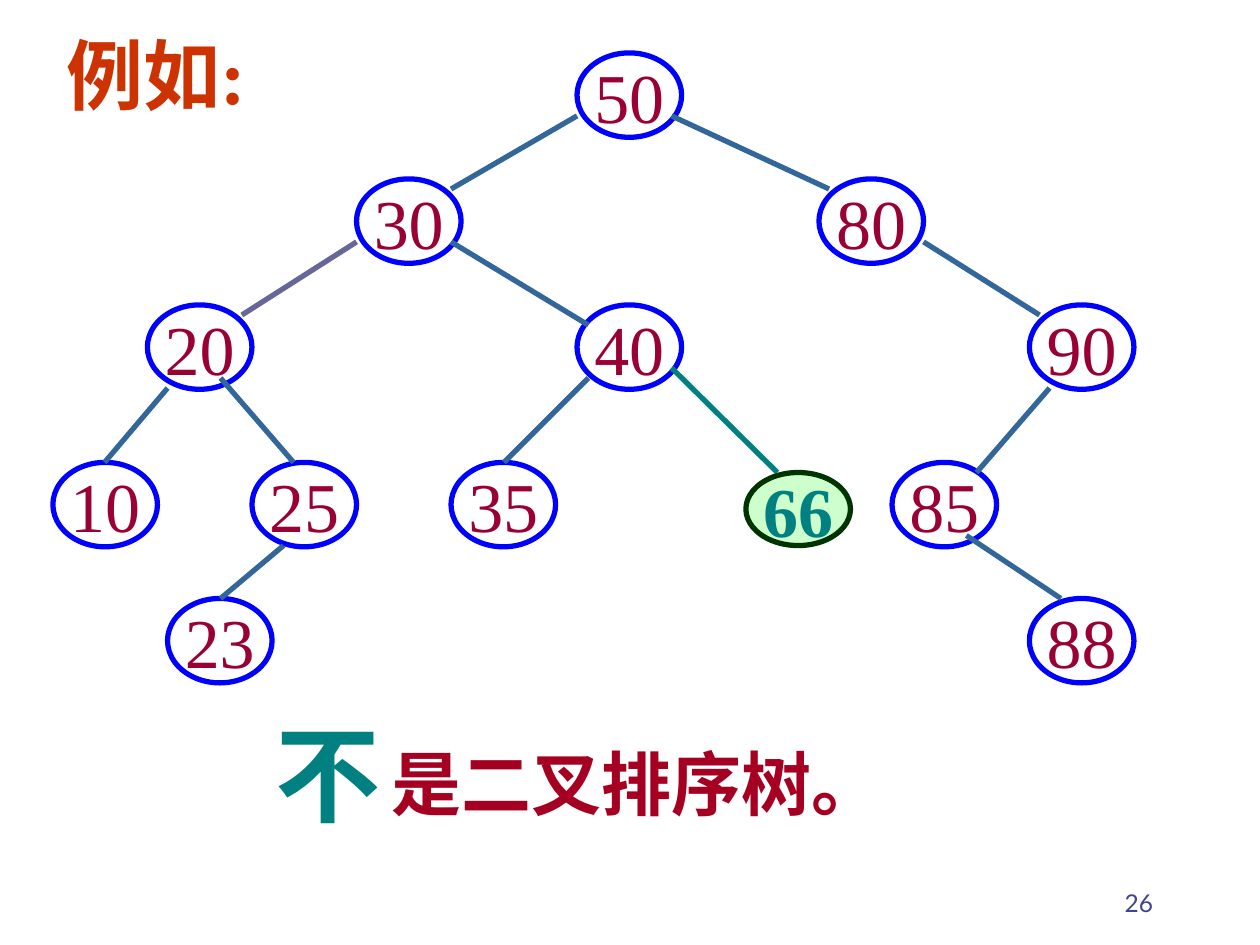
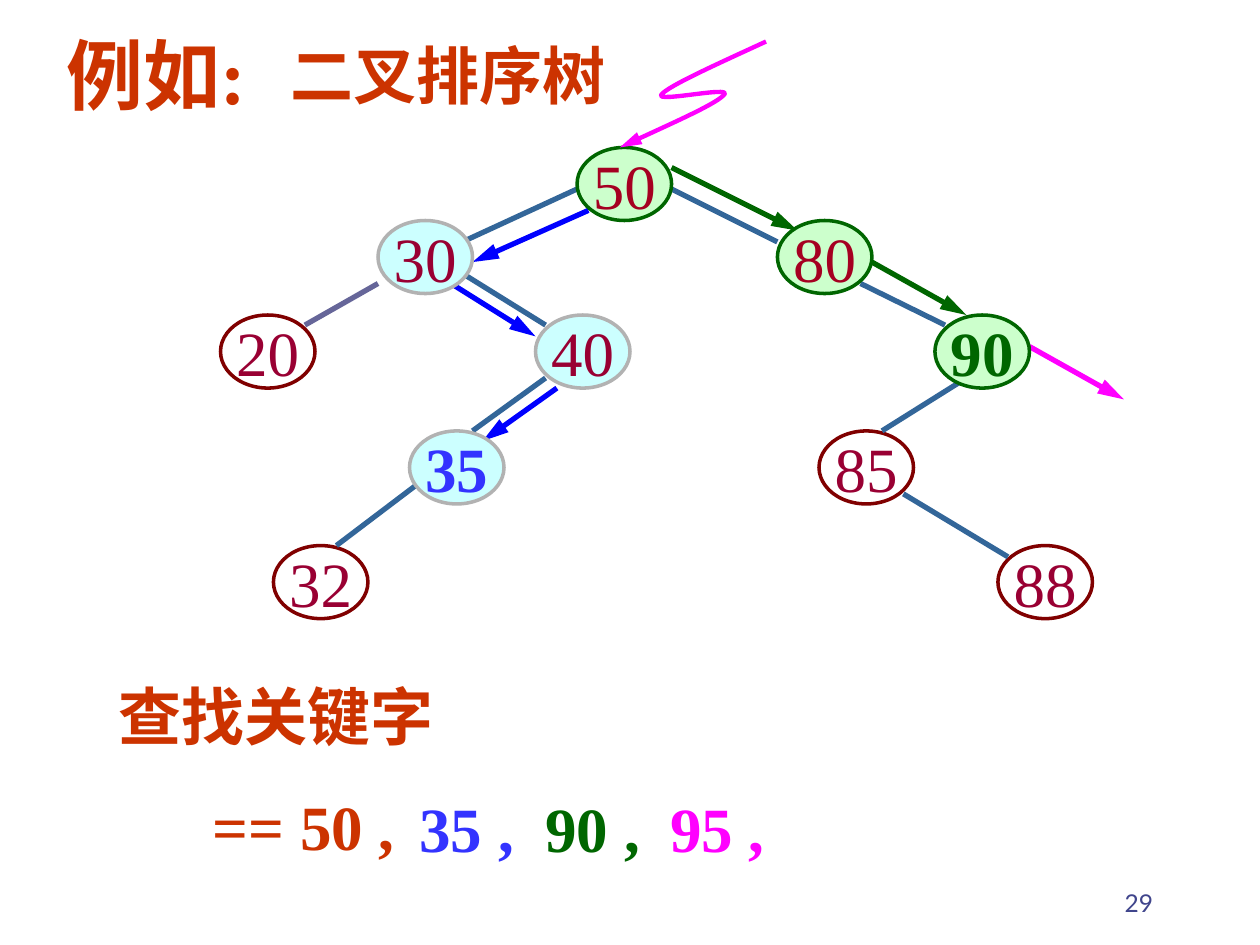
"""Build two slides on binary search trees: a counterexample and key lookups."""
from lxml import etree
from pptx import Presentation
from pptx.dml.color import RGBColor
from pptx.enum.shapes import MSO_CONNECTOR, MSO_SHAPE
from pptx.enum.text import MSO_ANCHOR, MSO_AUTO_SIZE, PP_ALIGN
from pptx.oxml.ns import qn
from pptx.util import Inches, Pt

STRAIGHT = MSO_CONNECTOR.STRAIGHT
OVAL = MSO_SHAPE.OVAL
MIDDLE, BOTTOM = MSO_ANCHOR.MIDDLE, MSO_ANCHOR.BOTTOM
FIT_SHAPE = MSO_AUTO_SIZE.SHAPE_TO_FIT_TEXT
CENTER, RIGHT = PP_ALIGN.CENTER, PP_ALIGN.RIGHT

COLOURS = {
    "title": "CC3300", "number": "40458C", "key": "990033", "crimson": "A50021",
    "edge": "336699", "muted_edge": "666699", "blue": "0000FF", "found_blue": "3333FF",
    "teal": "008080", "dark_green": "003300", "green": "006600", "magenta": "FF00FF",
    "maroon": "800000", "grey": "B2B2B2", "pale_green": "CCFFCC", "pale_cyan": "CCFFFF",
}
RGB = {name: RGBColor.from_string(value) for name, value in COLOURS.items()}

NODE_STYLES = {
    "plain": {"fill": None, "line": "blue", "width": 3, "text": "key"},
    "misplaced": {"fill": "pale_green", "line": "dark_green", "width": 3, "text": "teal"},
    "unvisited": {"fill": None, "line": "maroon", "width": 2, "text": "key"},
    "left_route": {"fill": "pale_cyan", "line": "grey", "width": 2, "text": "key"},
    "left_found": {"fill": "pale_cyan", "line": "grey", "width": 2, "text": "found_blue"},
    "right_route": {"fill": "pale_green", "line": "green", "width": 2, "text": "crimson"},
    "right_found": {"fill": "pale_green", "line": "green", "width": 2, "text": "green"},
}
BOLD_NODES = ("misplaced", "left_found", "right_found")
ARROW_COLOURS = ("blue", "green", "magenta")

counterexample = {
    "number": "26", "node_size": 40,
    "nodes": [
        ("plain", 0.83, 0.67, [
            ("50", 4.58, 0.42), ("30", 2.83, 1.42), ("80", 6.5, 1.42), ("20", 1.17, 2.42),
            ("90", 8.17, 2.42), ("10", 0.42, 3.67), ("85", 7.08, 3.67), ("40", 4.58, 2.42),
            ("35", 3.58, 3.67), ("25", 2, 3.67), ("23", 1.33, 4.75), ("88", 8.17, 4.75)]),
    ],
    "edges": {
        "edge": [
            (4.58, 0.92, 3.58, 1.5), (5.33, 0.92, 6.58, 1.5), (3.58, 1.92, 4.67, 2.58),
            (1.33, 3.08, 0.83, 3.67), (1.75, 3, 2.33, 3.67), (2.25, 4.33, 1.75, 4.75),
            (4.67, 3, 4, 3.67), (7.33, 1.92, 8.25, 2.5), (8.33, 3.08, 7.75, 3.75),
            (7.67, 4.25, 8.42, 4.75)],
        "muted_edge": [(2.83, 1.92, 1.92, 2.5)],
        "teal": [(5.33, 2.92, 6.17, 3.75)],
    },
    "highlighted": [("misplaced", 0.83, 0.58, [("66", 5.92, 3.75)])],
    "texts": [
        ("是二叉排序树。", 3.01, 5.83, 4.08, 0.77, 40, "crimson"),
        ("不", 2.09, 5.58, 1.03, 1.1, 60, "teal"),
    ],
    "curve": [],
}
lookups = {
    "number": "29", "node_size": 36,
    "nodes": [
        ("unvisited", 0.75, 0.58, [
            ("20", 1.75, 2.5), ("85", 6.5, 3.42), ("88", 7.92, 4.33), ("32", 2.17, 4.33)]),
    ],
    "edges": {
        "edge": [
            (4.58, 1.5, 3.67, 1.92), (5.33, 1.5, 6.17, 1.92), (3.67, 2.17, 4.33, 2.58),
            (4.33, 3, 3.75, 3.42), (6.83, 2.25, 7.5, 2.58), (7.67, 3, 7, 3.42),
            (7.17, 3.92, 8, 4.42), (3.33, 3.83, 2.67, 4.33)],
        "muted_edge": [(3, 2.25, 2.42, 2.58)],
        "blue": [(4.67, 1.67, 3.75, 2.08), (3.58, 2.25, 4.25, 2.67), (4.42, 3.08, 3.83, 3.5)],
        "green": [(5.33, 1.33, 6.33, 1.83), (6.92, 2.08, 7.67, 2.5)],
        "magenta": [(8.17, 2.75, 8.92, 3.17)],
    },
    "highlighted": [
        ("left_route", 0.75, 0.58, [("30", 3, 1.75), ("40", 4.25, 2.5)]),
        ("left_found", 0.75, 0.58, [("35", 3.25, 3.42)]),
        ("right_route", 0.75, 0.58, [("50", 4.58, 1.17), ("80", 6.17, 1.75)]),
        ("right_found", 0.75, 0.58, [("90", 7.42, 2.5)]),
    ],
    "texts": [
        ("二叉排序树", 2.21, 0.24, 2.7, 0.7, 36, "title"),
        ("查找关键字", 0.84, 5.33, 2.7, 0.7, 36, "title"),
        ("== 50 ,", 1.59, 6.2, 1.7, 0.7, 36, "title"),
        ("35 ,", 3.23, 6.22, 0.95, 0.7, 36, "found_blue"),
        ("90 ,", 4.23, 6.22, 0.95, 0.7, 36, "green"),
        ("95 ,", 5.22, 6.22, 0.95, 0.7, 36, "magenta"),
    ],
    "curve": [
        (6.08, 0.33), (5.69, 0.51), (5.31, 0.68), (5.25, 0.75), (5.19, 0.82),
        (5.81, 0.68), (5.75, 0.75), (5.69, 0.82), (5.31, 0.99), (4.92, 1.17)],
}
SHARED_TITLE = ("例如:", 0.43, 0.17, 1.77, 0.84, 44, "title")


def write_text(shape, text, colour, font_format, frame_format, alignment=None):
    frame = shape.text_frame
    for name, value in frame_format.items():
        setattr(frame, name, value)
    paragraph = frame.paragraphs[0]
    paragraph.alignment = alignment
    run = paragraph.add_run()
    run.text = text
    run.font.color.rgb = RGB[colour]
    for name, value in font_format.items():
        setattr(run.font, name, value)


def draw_line(shape, colour, width, arrow=False):
    shape.line.color.rgb = RGB[colour]
    shape.line.width = Pt(width)
    if arrow:
        line = shape.line._get_or_add_ln()
        etree.SubElement(line, qn("a:tailEnd"), type="triangle", w="med", len="lg")


presentation = Presentation()
presentation.slide_width, presentation.slide_height = Inches(10), Inches(7.5)

for content in (counterexample, lookups):
    slide = presentation.slides.add_slide(presentation.slide_layouts[6])

    number_box = slide.shapes.add_textbox(Inches(7.17), Inches(6.83), Inches(2.08), Inches(0.5))
    write_text(number_box, content["number"], "number", {"size": Pt(14), "name": "Lato"},
               {"word_wrap": True, "vertical_anchor": BOTTOM}, RIGHT)

    for text, left, top, width, height, size, colour in [SHARED_TITLE, *content["texts"]]:
        text_box = slide.shapes.add_textbox(*map(Inches, (left, top, width, height)))
        write_text(text_box, text, colour,
                   {"size": Pt(size), "name": "Times New Roman", "bold": True},
                   {"word_wrap": False, "auto_size": FIT_SHAPE})

    for layer in ("nodes", "edges", "highlighted"):
        if layer == "edges":
            for colour, edges in content["edges"].items():
                for edge in edges:
                    connector = slide.shapes.add_connector(STRAIGHT, *map(Inches, edge))
                    draw_line(connector, colour, 3, colour in ARROW_COLOURS)
                    etree.SubElement(connector._element.spPr, qn("a:effectLst"))
            continue
        for style_name, width, height, keys in content[layer]:
            style = NODE_STYLES[style_name]
            for key, left, top in keys:
                node = slide.shapes.add_shape(OVAL, *map(Inches, (left, top, width, height)))
                node.shadow.inherit = False
                if style["fill"]:
                    node.fill.solid()
                    node.fill.fore_color.rgb = RGB[style["fill"]]
                else:
                    node.fill.background()
                draw_line(node, style["line"], style["width"])
                write_text(node, key, style["text"],
                           {"size": Pt(content["node_size"]), "name": "Times New Roman",
                            "bold": style_name in BOLD_NODES},
                           {"word_wrap": False, "vertical_anchor": MIDDLE}, CENTER)

    if content["curve"]:
        start, *curve_points = [(Inches(x), Inches(y)) for x, y in content["curve"]]
        builder = slide.shapes.build_freeform(*start)
        builder.add_line_segments(curve_points, close=False)
        search_curve = builder.convert_to_shape()
        search_curve.shadow.inherit = False
        search_curve.fill.background()
        draw_line(search_curve, "magenta", 2.5, arrow=True)
        segments = search_curve._element.xpath(".//a:lnTo")
        for first in range(0, len(segments), 3):
            bezier = etree.Element(qn("a:cubicBezTo"))
            segments[first].addprevious(bezier)
            for segment in segments[first:first + 3]:
                bezier.append(segment[0])
                segment.getparent().remove(segment)

presentation.save("out.pptx")
